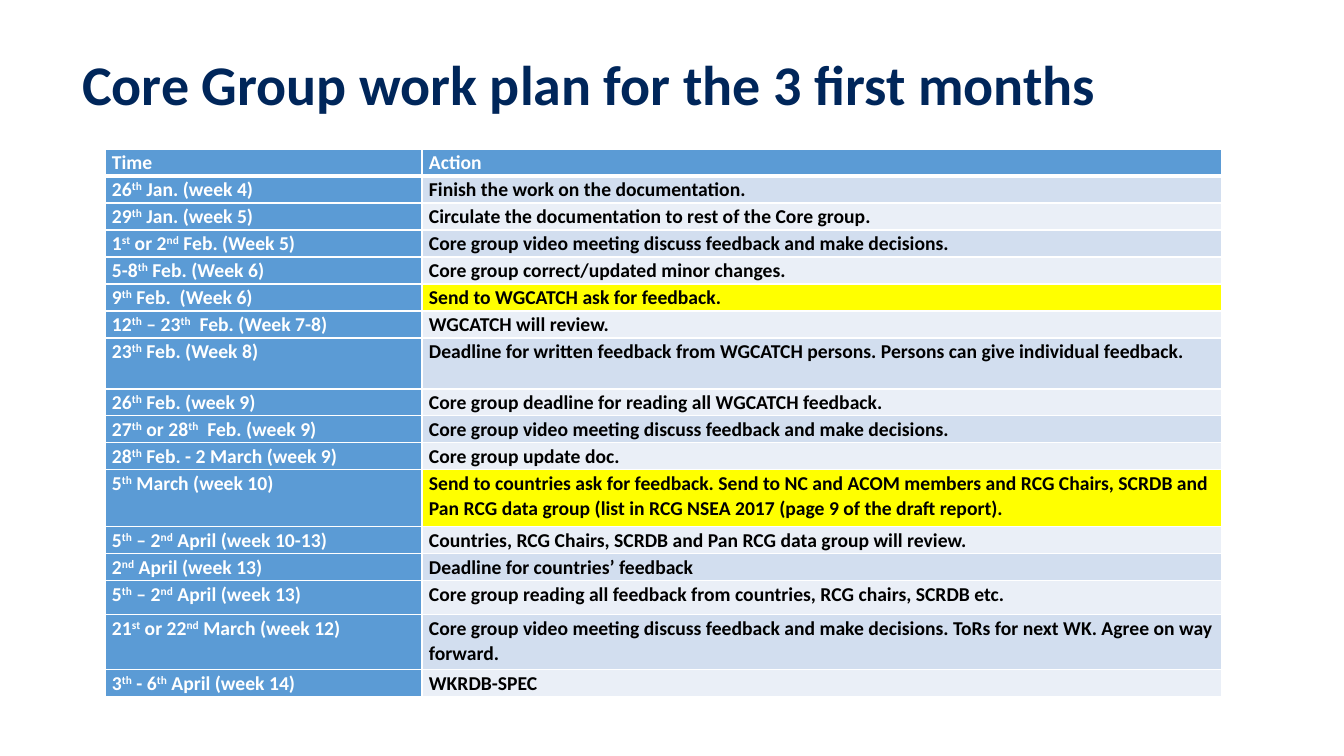
from lxml import etree
from pptx import Presentation
from pptx.dml.color import RGBColor
from pptx.enum.text import MSO_ANCHOR, PP_ALIGN
from pptx.oxml.ns import qn
from pptx.util import Pt

LEFT, MIDDLE, TOP = PP_ALIGN.LEFT, MSO_ANCHOR.MIDDLE, MSO_ANCHOR.TOP
NAVY = RGBColor(0x00, 0x26, 0x5A)
BLUE = RGBColor(0x5B, 0x9B, 0xD5)
DARK_BAND = RGBColor(0xD2, 0xDE, 0xEF)
LIGHT_BAND = RGBColor(0xEA, 0xEF, 0xF7)
YELLOW = RGBColor(0xFF, 0xFF, 0x00)
WHITE = RGBColor(0xFF, 0xFF, 0xFF)
BLACK = RGBColor(0x00, 0x00, 0x00)
FONT = "Calibri"
PX_PER_INCH = 100.8
ROW_HEIGHT = 27
TALL_ROWS = {7: 51, 11: 57, 14: 34, 15: 55}
COLUMN_WIDTHS = (317, 800)
HIGHLIGHTED_ROWS = (5, 11)

WORK_PLAN = [
    ("Time", "Action"),
    ("26^th^ Jan. (week 4)", "Finish the work on the documentation."),
    ("29^th^ Jan. (week 5)", "Circulate the documentation to rest of the Core group."),
    ("1^st^ or 2^nd^ Feb. (Week 5)", "Core group video meeting discuss feedback and make decisions."),
    ("5-8^th^ Feb. (Week 6)", "Core group correct/updated minor changes."),
    ("9^th^ Feb.  (Week 6)", "Send to WGCATCH ask for feedback."),
    ("12^th^ – 23^th^  Feb. (Week 7-8)", "WGCATCH will review."),
    ("23^th^ Feb. (Week 8)",
     "Deadline for written feedback from WGCATCH persons. Persons can give individual feedback."),
    ("26^th^ Feb. (week 9)", "Core group deadline for reading all WGCATCH feedback."),
    ("27^th^ or 28^th^  Feb. (week 9)", "Core group video meeting discuss feedback and make decisions."),
    ("28^th^ Feb. - 2 March (week 9)", "Core group update doc."),
    ("5^th^ March (week 10)",
     "Send to countries ask for feedback. Send to NC and ACOM members and RCG Chairs, SCRDB and "
     "Pan RCG data group (list in RCG NSEA 2017 (page 9 of the draft report)."),
    ("5^th^ – 2^nd^ April (week 10-13)", "Countries, RCG Chairs, SCRDB and Pan RCG data group will review."),
    ("2^nd^ April (week 13)", "Deadline for countries’ feedback"),
    ("5^th^ – 2^nd^ April (week 13)", "Core group reading all feedback from countries, RCG chairs, SCRDB etc."),
    ("21^st^ or 22^nd^ March (week 12)",
     "Core group video meeting discuss feedback and make decisions. ToRs for next WK. Agree on way forward."),
    ("3^th^ - 6^th^ April (week 14)", "WKRDB-SPEC"),
]


def px(length):
    """Turn whole pixels into EMU."""
    return round(length * 914400 / PX_PER_INCH)


def write_text(frame, text, *, size, color, spacing, anchor):
    """Write one bold paragraph, raising whatever stands between carets."""
    frame.word_wrap = True
    frame.vertical_anchor = anchor
    para = frame.paragraphs[0]
    para.alignment = LEFT
    para.line_spacing = spacing
    for index, part in enumerate(text.split("^")):
        span = para.add_run()
        span.text = part
        span.font.name = FONT
        span.font.size = Pt(size)
        span.font.bold = True
        span.font.color.rgb = color
        if index % 2:
            span.font._element.set("baseline", "30000")


def add_title(page, text):
    """Place and fill the title placeholder."""
    title = page.shapes.title
    title.left, title.top, title.width, title.height = px(72), px(47), px(1038), px(81)
    write_text(title.text_frame, text, size=40, color=NAVY, spacing=0.9, anchor=MIDDLE)


def set_borders(cell, **widths):
    """Draw white cell borders with the given widths in points."""
    properties = cell._tc.get_or_add_tcPr()
    for side, width in widths.items():
        line = etree.SubElement(properties, qn(f"a:ln{side}"), w=str(Pt(width)))
        fill = etree.SubElement(line, qn("a:solidFill"))
        etree.SubElement(fill, qn("a:srgbClr"), val=str(WHITE))


def cell_fill(row, column):
    """Choose the fill for a place in the table."""
    if row == 0 or column == 0:
        return BLUE
    if row in HIGHLIGHTED_ROWS:
        return YELLOW
    return DARK_BAND if row % 2 else LIGHT_BAND


def fill_cell(cell, text, row, column):
    """Format one cell and write its text."""
    cell.margin_left = cell.margin_right = px(7)
    cell.margin_top = cell.margin_bottom = 0
    set_borders(cell, L=1, R=1, T=3 if row == 1 else 1, B=3 if row == 0 else 1)
    cell.fill.solid()
    cell.fill.fore_color.rgb = cell_fill(row, column)
    color = WHITE if row == 0 or column == 0 else BLACK
    cell.vertical_anchor = TOP
    write_text(cell.text_frame, text, size=14, color=color, spacing=1.07, anchor=TOP)


def add_plan_table(page, plan):
    """Add the table of dates and actions."""
    heights = [TALL_ROWS.get(row, ROW_HEIGHT) for row in range(len(plan))]
    table = page.shapes.add_table(len(plan), len(COLUMN_WIDTHS), px(105), px(149),
                                  px(sum(COLUMN_WIDTHS)), px(sum(heights))).table
    for column, width in enumerate(COLUMN_WIDTHS):
        table.columns[column].width = px(width)
    for row, texts in enumerate(plan):
        table.rows[row].height = px(heights[row])
        for column, text in enumerate(texts):
            fill_cell(table.cell(row, column), text, row, column)


def main():
    """Build the work plan slide."""
    deck = Presentation()
    deck.slide_width, deck.slide_height = px(1344), px(756)
    page = deck.slides.add_slide(deck.slide_layouts[5])
    add_title(page, "Core Group work plan for the 3 first months")
    add_plan_table(page, WORK_PLAN)
    deck.save("out.pptx")


if __name__ == "__main__":
    main()
